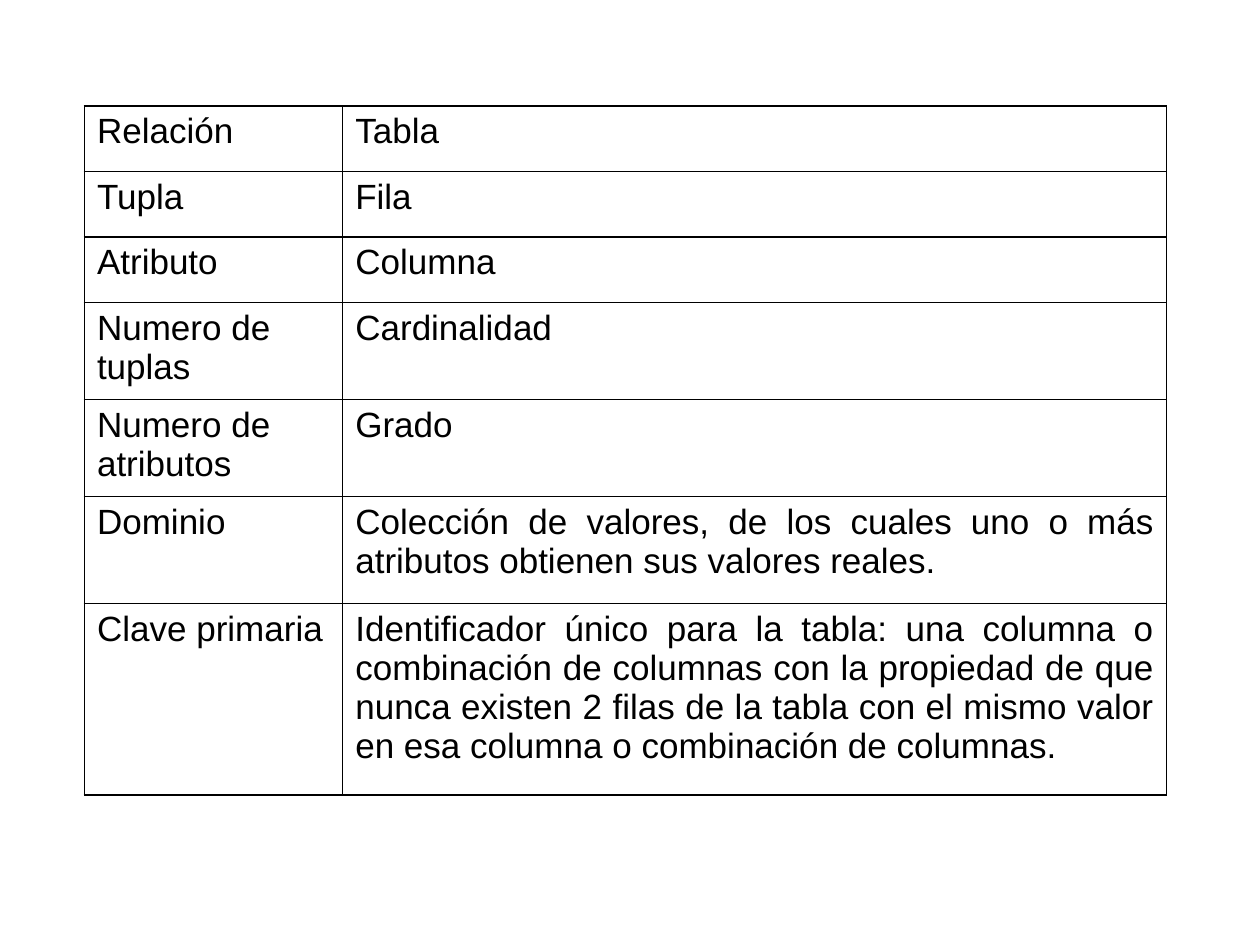
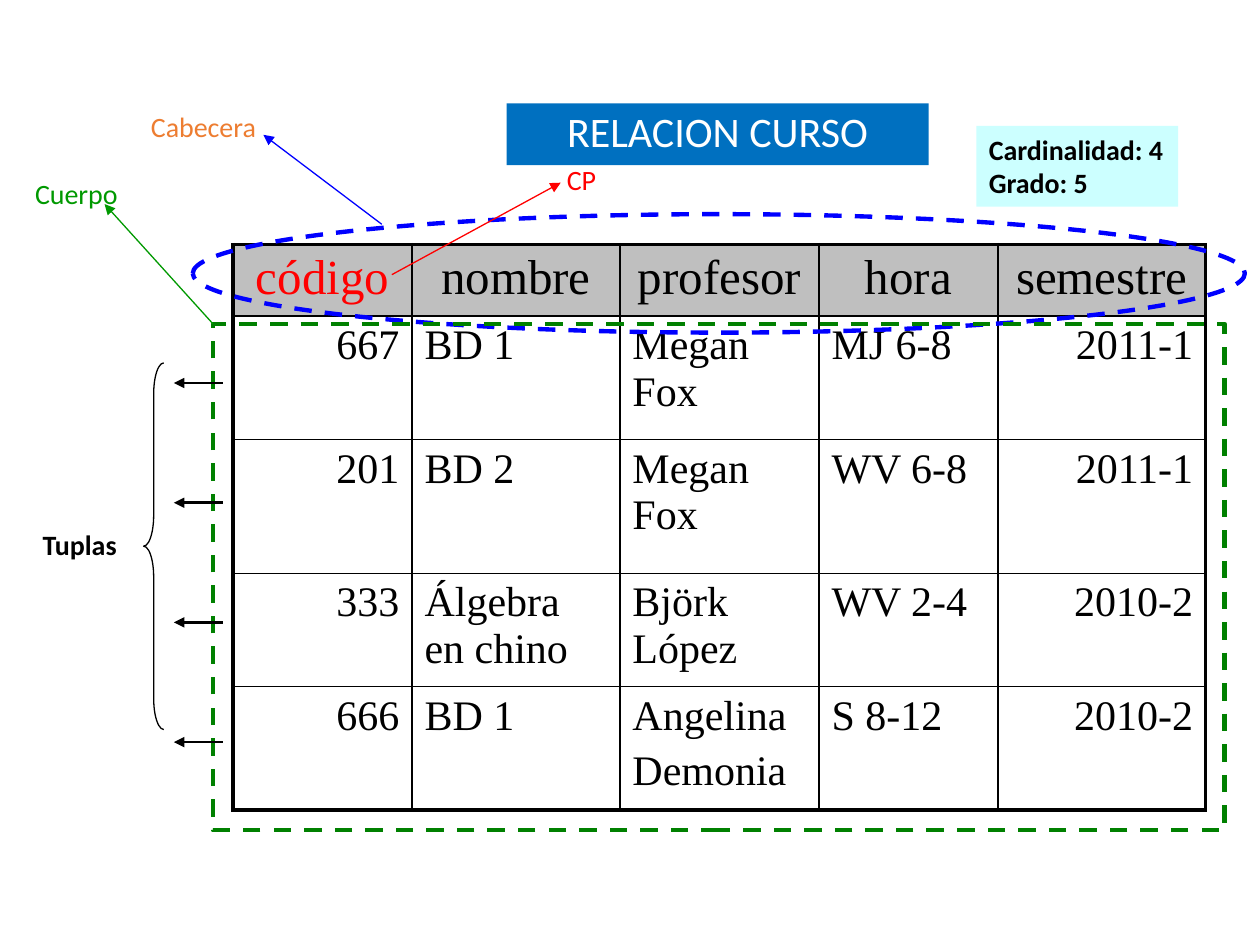
from dataclasses import dataclass
from typing import Optional

from lxml.etree import SubElement
from pptx import Presentation
from pptx.dml.color import RGBColor
from pptx.enum.dml import MSO_LINE
from pptx.enum.shapes import MSO_CONNECTOR, MSO_SHAPE
from pptx.enum.text import MSO_ANCHOR, PP_ALIGN
from pptx.oxml.ns import qn
from pptx.util import Emu, Inches, Pt

WIDE, HIGH = Inches(10), Inches(7.5)
COLS, ROWS = 100, 75  # slide grid

HUES = {
    "black": "000000", "white": "FFFFFF", "gray": "BFBFBF", "red": "FF0000",
    "blue": "0000FF", "band": "0070C0", "pale": "CCFFFF", "orange": "ED7D31",
    "green": "009900", "dark": "008000",
}
LEFT, MID, RIGHT, FULL = (
    PP_ALIGN.LEFT, PP_ALIGN.CENTER, PP_ALIGN.RIGHT, PP_ALIGN.JUSTIFY)


@dataclass(frozen=True)
class Font:
    face: str
    size: float
    hue: str = "black"
    bold: bool = False


@dataclass(frozen=True)
class Box:
    """A place on the slide grid."""
    left: float
    top: float
    width: float
    height: float

    def spans(self) -> tuple[Emu, Emu, Emu, Emu]:
        return col(self.left), row(self.top), col(self.width), row(self.height)


@dataclass(frozen=True)
class Grid:
    box: Box
    cols: list[float]
    rows: list[float]
    lines: list[list[str]]
    font: Font
    aligns: list[PP_ALIGN]
    rim: float = 1
    head: Optional[Font] = None
    key: str = "black"  # hue of the first heading


@dataclass(frozen=True)
class Label:
    box: Box
    text: str
    font: Font
    align: PP_ALIGN = LEFT
    fill: Optional[str] = None
    wrap: bool = True
    anchor: MSO_ANCHOR = MSO_ANCHOR.TOP
    pitch: Optional[float] = None


@dataclass(frozen=True)
class Frame:
    kind: MSO_SHAPE
    box: Box
    hue: str
    weight: float
    dash: bool = True


@dataclass(frozen=True)
class Arrow:
    start: tuple[float, float]
    end: tuple[float, float]
    hue: str
    weight: float = 0.75


def col(count: float) -> Emu:
    return Emu(round(WIDE * count / COLS))


def row(count: float) -> Emu:
    return Emu(round(HIGH * count / ROWS))


def tint(name: str) -> RGBColor:
    return RGBColor.from_string(HUES[name])


def write(frame, text: str, font: Font, align: PP_ALIGN,
          gap: float = 0, pitch: Optional[float] = None) -> None:
    """Fill a text frame, one paragraph per line of text."""
    for i, line in enumerate(text.split("\n")):
        para = frame.add_paragraph() if i else frame.paragraphs[0]
        para.alignment = align
        if i and gap:
            para.space_before = Pt(gap)
        if pitch:
            para.line_spacing = pitch
        run = para.add_run()
        run.text = line
        run.font.name, run.font.size = font.face, Pt(font.size)
        run.font.bold = font.bold
        run.font.color.rgb = tint(font.hue)


def edge(cell, side: str, weight: float) -> None:
    line = SubElement(cell._tc.get_or_add_tcPr(), qn(f"a:ln{side}"),
                      w=str(Pt(weight)))
    fill = SubElement(line, qn("a:solidFill"))
    SubElement(fill, qn("a:srgbClr"), val=HUES["black"])


def draw_grid(slide, grid: Grid) -> None:
    high, wide = len(grid.rows), len(grid.cols)
    table = slide.shapes.add_table(high, wide, *grid.box.spans()).table
    table.first_row = table.horz_banding = False
    for part, size in zip(table.columns, grid.cols):
        part.width = col(size)
    for part, size in zip(table.rows, grid.rows):
        part.height = row(size)
    for y, line in enumerate(grid.lines):
        for x, text in enumerate(line):
            cell = table.cell(y, x)
            rims = {"L": x == 0, "R": x == wide - 1,
                    "T": y == 0, "B": y == high - 1}
            for side, outer in rims.items():
                edge(cell, side, grid.rim if outer else 1)
            font, align = grid.font, grid.aligns[x]
            if grid.head and y == 0:
                cell.fill.solid()
                cell.fill.fore_color.rgb = tint("gray")
                hue = grid.key if x == 0 else grid.head.hue
                font, align = Font(grid.head.face, grid.head.size, hue), MID
            else:
                cell.fill.background()
            write(cell.text_frame, text, font, align, gap=font.size * 0.2)


def draw_label(slide, label: Label) -> None:
    spans = label.box.spans()
    if label.fill:
        shape = slide.shapes.add_shape(MSO_SHAPE.RECTANGLE, *spans)
        shape.shadow.inherit = False
        shape.fill.solid()
        shape.fill.fore_color.rgb = tint(label.fill)
        shape.line.fill.background()
    else:
        shape = slide.shapes.add_textbox(*spans)
    frame = shape.text_frame
    frame.word_wrap, frame.vertical_anchor = label.wrap, label.anchor
    write(frame, label.text, label.font, label.align, pitch=label.pitch)


def draw_frame(slide, frame: Frame) -> None:
    shape = slide.shapes.add_shape(frame.kind, *frame.box.spans())
    shape.shadow.inherit = False
    shape.fill.background()
    shape.line.color.rgb = tint(frame.hue)
    shape.line.width = Pt(frame.weight)
    if frame.dash:
        shape.line.dash_style = MSO_LINE.DASH
    if frame.kind == MSO_SHAPE.LEFT_BRACE:
        shape.adjustments[0] = 1.54


def draw_arrow(slide, arrow: Arrow) -> None:
    (x, y), (u, v) = arrow.start, arrow.end
    link = slide.shapes.add_connector(
        MSO_CONNECTOR.STRAIGHT, col(x), row(y), col(u), row(v))
    link.line.color.rgb = tint(arrow.hue)
    link.line.width = Pt(arrow.weight)
    props = link._element.spPr
    SubElement(props.find(qn("a:ln")), qn("a:tailEnd"), type="triangle")
    SubElement(props, qn("a:effectLst"))


def note(hue: str, bold: bool = False) -> Font:
    return Font("Calibri", 16, hue, bold)


TERMS = Grid(
    Box(6.7, 8.4, 85.9, 54.5), [20.5, 65.4],
    [5.2] * 3 + [7.7] * 2 + [8.5, 15.2],
    [
        ["Relación", "Tabla"],
        ["Tupla", "Fila"],
        ["Atributo", "Columna"],
        ["Numero de tuplas", "Cardinalidad"],
        ["Numero de atributos", "Grado"],
        ["Dominio", "Colección de valores, de los cuales uno o más "
                    "atributos obtienen sus valores reales."],
        ["Clave primaria",
         "Identificador único para la tabla: una columna o combinación de "
         "columnas con la propiedad de que nunca existen 2 filas de la tabla "
         "con el mismo valor en esa columna o combinación de columnas."],
    ],
    Font("Arial", 20), [LEFT, FULL])

COURSE = Grid(
    Box(18.5, 19.4, 77.2, 44.9), [14.2, 16.5, 15.8, 14.2, 16.5],
    [5.7, 9.8, 10.6, 9, 9.8],
    [
        ["código", "nombre", "profesor", "hora", "semestre"],
        ["667", "BD 1", "Megan Fox", "MJ 6-8", "2011-1"],
        ["201", "BD 2", "Megan Fox", "WV 6-8", "2011-1"],
        ["333", "Álgebra en chino", "Björk López", "WV 2-4", "2010-2"],
        ["666", "BD 1", "Angelina\nDemonia", "S 8-12", "2010-2"],
    ],
    Font("Times New Roman", 24), [RIGHT, LEFT, LEFT, LEFT, RIGHT],
    rim=2.25, head=Font("Times New Roman", 28), key="red")

TITLE = Label(Box(40.2, 8.2, 33.5, 4.9), "RELACION CURSO",
              Font("Calibri", 24, "white"), MID, "band",
              anchor=MSO_ANCHOR.MIDDLE, pitch=0.9)

FRAMES = [
    Frame(MSO_SHAPE.OVAL, Box(15.3, 17, 83.5, 9.4), "blue", 2.5),
    Frame(MSO_SHAPE.LEFT_BRACE, Box(11.4, 28.8, 1.6, 29.1), "black", 0.75,
          dash=False),
    Frame(MSO_SHAPE.RECTANGLE, Box(16.9, 25.7, 80.3, 40.2), "dark", 2.5),
]

ARROWS = [
    Arrow((30.3, 17.8), (20.9, 10.7), "blue"),
    Arrow((31.1, 21.8), (44.5, 14.5), "red"),
    Arrow((16.9, 25.7), (8.3, 16.2), "green"),
] + [
    Arrow((17.7, 30.4 + 9.5 * i), (13.8, 30.4 + 9.5 * i), "black", 1.5)
    for i in range(4)
]

LABELS = [
    Label(Box(11, 8.2, 11.7, 3.7), "Cabecera", note("orange")),
    Label(Box(42.2, 12.4, 7.9, 3.7), "CP", note("red"), MID),
    Label(Box(2.4, 41.4, 11.4, 3.7), "Tuplas", note("black", True)),
    Label(Box(77.5, 10, 16, 6.4), "Cardinalidad: 4\nGrado: 5",
          note("black", True), fill="pale", wrap=False),
    Label(Box(1.8, 13.5, 14.6, 3.7), "Cuerpo", note("green")),
]


def main() -> None:
    deck = Presentation()
    deck.slide_width, deck.slide_height = WIDE, HIGH
    blank = deck.slide_layouts[6]

    draw_grid(deck.slides.add_slide(blank), TERMS)

    slide = deck.slides.add_slide(blank)
    draw_label(slide, TITLE)
    draw_grid(slide, COURSE)
    for frame in FRAMES:
        draw_frame(slide, frame)
    for arrow in ARROWS:
        draw_arrow(slide, arrow)
    for label in LABELS:
        draw_label(slide, label)

    deck.save("out.pptx")


if __name__ == "__main__":
    main()
